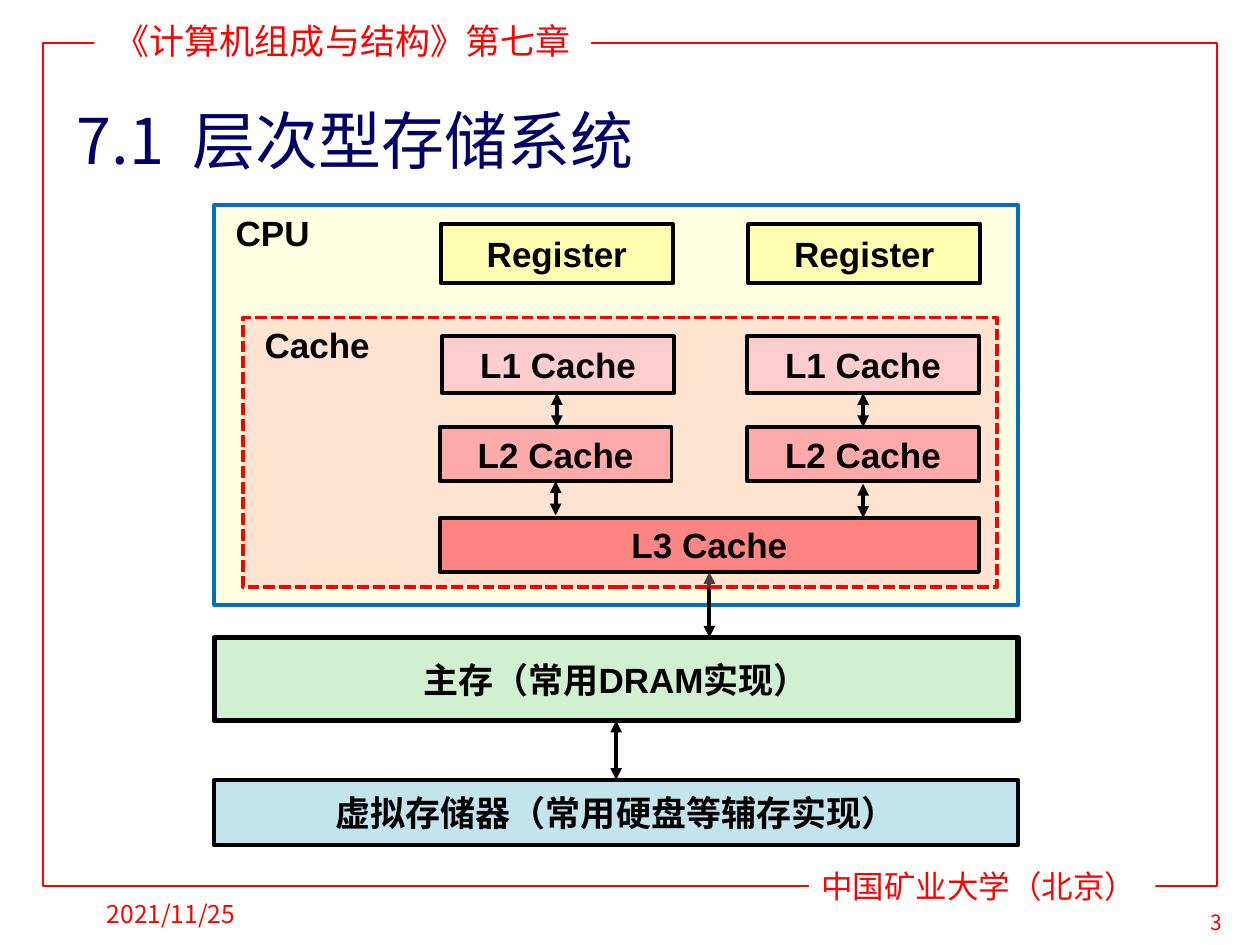
from lxml import etree
from pptx import Presentation
from pptx.dml.color import RGBColor
from pptx.enum.dml import MSO_LINE
from pptx.enum.shapes import MSO_CONNECTOR, MSO_SHAPE
from pptx.enum.text import MSO_ANCHOR, PP_ALIGN
from pptx.oxml.ns import qn
from pptx.util import Inches, Pt

RECTANGLE, STRAIGHT = MSO_SHAPE.RECTANGLE, MSO_CONNECTOR.STRAIGHT
DASH = MSO_LINE.SQUARE_DOT
TOP, MIDDLE = MSO_ANCHOR.TOP, MSO_ANCHOR.MIDDLE
LEFT, CENTER = PP_ALIGN.LEFT, PP_ALIGN.CENTER
CJK, ARIAL, TIMES = "Noto Sans CJK SC", "Arial", "Times New Roman"

COLORS = {
    "red": "FF0000", "white": "FFFFFF", "black": "000000", "navy": "000066",
    "blue": "0070C0", "cpu": "FFFFE2", "memory": "D1F0D1", "virtual": "C3E3ED",
    "register": "FFFFB2", "cache": "FFB0B0",
    "l1": "FFCDCD", "l2": "FFAAAA", "l3": "FF8585",
}

# Content: text, place, colours
TITLE = ("7.1", " ", "层次型存储系统")
# text, place, size, font, alignment
FRAME_LABELS = [
    ("《计算机组成与结构》第七章", (0.75, 0.1, 3.94, 0.44), 20, CJK, CENTER),
    ("中国矿业大学（北京）", (6.42, 6.83, 2.75, 0.4), 18, TIMES, LEFT),
]
FOOTERS = [
    ("2021/11/25", (0.75, 7, 2.08, 0.5), 14, LEFT),
    ("3", (9.33, 7.17, 0.65, 0.3), 12, CENTER),
]
# text, top, height, fill, line width
MEMORY_LEVELS = [
    ("主存（常用DRAM实现）", 5.06, 0.66, "memory", 3),
    ("虚拟存储器（常用硬盘等辅存实现）", 6.19, 0.52, "virtual", 2.25),
]
# text, top, height, fill, left edge in each core
CORE_LEVELS = [
    ("Register", 1.78, 0.47, "register", (3.5, 5.94)),
    ("L1 Cache", 2.67, 0.45, "l1", (3.51, 5.93)),
    ("L2 Cache", 3.39, 0.43, "l2", (3.49, 5.93)),
]
CORE_WIDTH = 1.84
STACK_LEFT, STACK_WIDTH = 1.7, 6.38
# x, top, bottom
MEMORY_ARROWS = [(5.63, 4.54, 5.06), (4.89, 5.72, 6.19)]
CACHE_ARROWS = [(4.42, 3.12, 3.39), (6.85, 3.12, 3.39),
                (4.41, 3.82, 4.09), (6.85, 3.84, 4.11)]


def color(name):
    return RGBColor.from_string(COLORS[name])


def write(shape, text, size, font, ink, align=CENTER, anchor=MIDDLE, bold=False):
    frame = shape.text_frame
    frame.word_wrap = True
    frame.vertical_anchor = anchor
    para = frame.paragraphs[0]
    para.alignment = align
    for part in text if isinstance(text, tuple) else (text,):
        para.add_run().text = part
    para.font.size, para.font.name, para.font.bold = Pt(size), font, bold
    para.font.color.rgb = color(ink)
    east_asian = etree.SubElement(para.font._element, qn("a:ea"))
    east_asian.set("typeface", CJK)
    return para


def add_box(page, place, fill=None, line=None, width=2.25):
    box = page.shapes.add_shape(RECTANGLE, *map(Inches, place))
    box.shadow.inherit = False
    if fill:
        box.fill.solid()
        box.fill.fore_color.rgb = color(fill)
    else:
        box.fill.background()
    if line:
        box.line.color.rgb = color(line)
        box.line.width = Pt(width)
    else:
        box.line.fill.background()
    return box


def add_level(page, text, place, fill, width=2.25):
    box = add_box(page, place, fill, "black", width)
    write(box, text, 20, ARIAL, "black", bold=True)


def add_region(page, text, place, fill, line):
    box = add_box(page, place, fill, line)
    box.text_frame.margin_left = Inches(0.17)
    write(box, text, 20, ARIAL, "black", LEFT, TOP, True)
    return box


def add_arrow(page, x, top, bottom):
    arrow = page.shapes.add_connector(
        STRAIGHT, Inches(x), Inches(top), Inches(x), Inches(bottom))
    arrow.line.color.rgb = color("black")
    arrow.line.width = Pt(2.25)
    line = arrow.line._get_or_add_ln()
    for end in ("a:headEnd", "a:tailEnd"):
        etree.SubElement(line, qn(end)).set("type", "triangle")
    etree.SubElement(arrow._element.spPr, qn("a:effectLst"))


def main():
    deck = Presentation()
    deck.slide_width, deck.slide_height = Inches(10), Inches(7.5)
    page = deck.slides.add_slide(deck.slide_layouts[5])

    # Red frame with its labels
    add_box(page, (0.34, 0.34, 9.32, 6.69), line="red", width=1)
    for text, place, size, font, align in FRAME_LABELS:
        write(add_box(page, place, "white"), text, size, font, "red", align)
    for text, place, size, align in FOOTERS:
        footer = page.shapes.add_textbox(*map(Inches, place))
        write(footer, text, size, CJK, "red", align)

    # Title, with a widened gap after the number
    title = page.shapes.title
    title.left, title.top, title.width, title.height = map(
        Inches, (0.51, 0.75, 9.06, 0.71))
    para = write(title, TITLE, 36, CJK, "navy", LEFT)
    para.runs[1].font._element.set("spc", "800")

    # Processor and the memories below it
    add_region(page, "CPU", (STACK_LEFT, 1.63, STACK_WIDTH, 3.17), "cpu", "blue")
    for text, top, height, fill, width in MEMORY_LEVELS:
        add_level(page, text, (STACK_LEFT, top, STACK_WIDTH, height), fill, width)
    for arrow in MEMORY_ARROWS:
        add_arrow(page, *arrow)

    # Translucent cache region
    cache = add_region(page, "Cache", (1.93, 2.52, 5.98, 2.14), "cache", "red")
    cache.line.dash_style = DASH
    tint = cache._element.spPr.find(qn("a:solidFill"))[0]
    etree.SubElement(tint, qn("a:alpha")).set("val", "32000")

    # Registers and cache levels of both cores
    add_level(page, "L3 Cache", (3.49, 4.11, 4.28, 0.43), "l3")
    for text, top, height, fill, lefts in CORE_LEVELS:
        for left in lefts:
            add_level(page, text, (left, top, CORE_WIDTH, height), fill)
    for arrow in CACHE_ARROWS:
        add_arrow(page, *arrow)

    deck.save("out.pptx")


if __name__ == "__main__":
    main()
